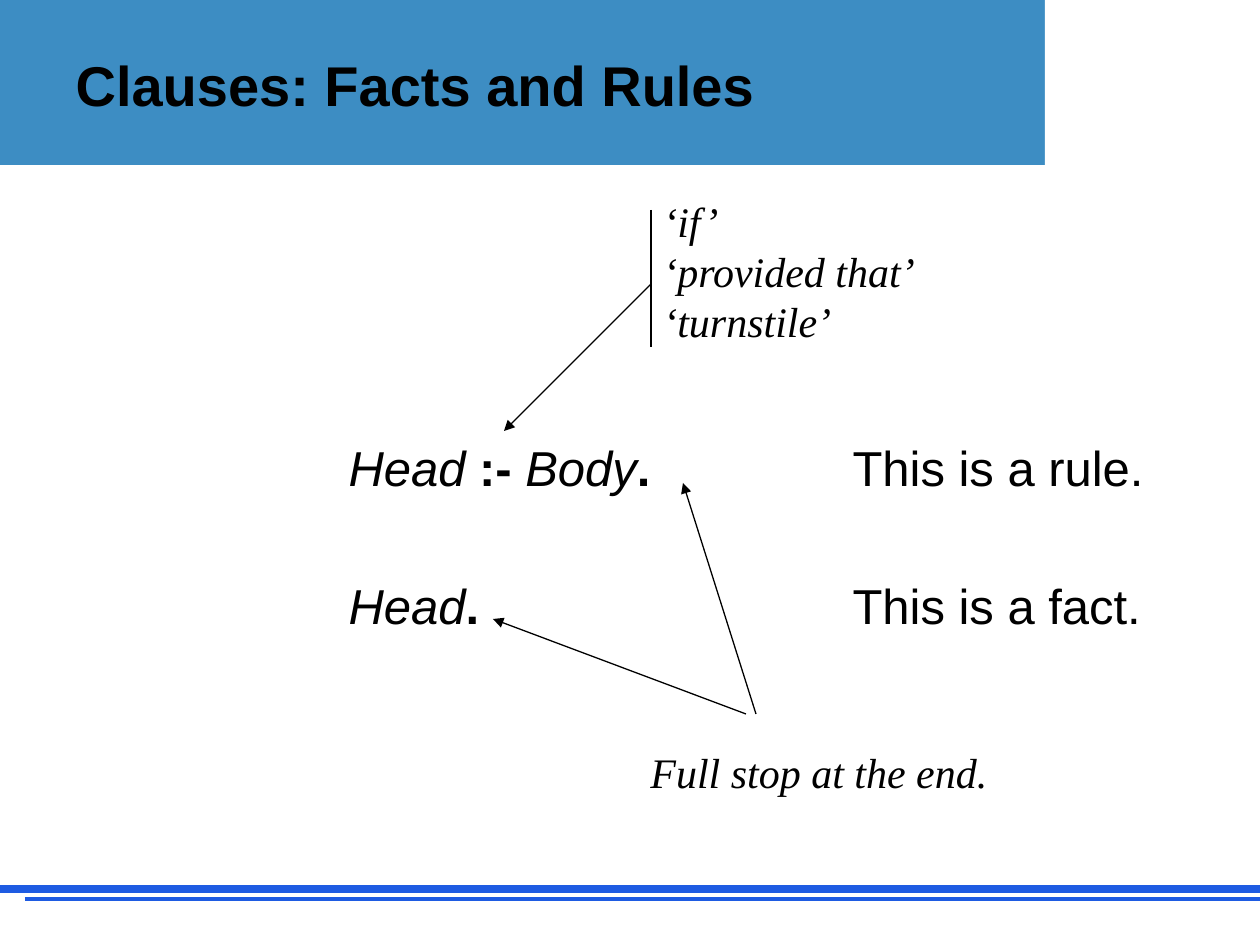
from lxml.etree import SubElement
from pptx import Presentation
from pptx.dml.color import RGBColor
from pptx.enum.shapes import MSO_CONNECTOR as Connector, MSO_SHAPE as Shape
from pptx.enum.text import MSO_ANCHOR as Anchor, MSO_AUTO_SIZE as AutoSize, PP_ALIGN as Align
from pptx.oxml.ns import qn
from pptx.util import Emu, Pt

BLACK = RGBColor(0x00, 0x00, 0x00)
WHITE = RGBColor(0xFF, 0xFF, 0xFF)
BAND_BLUE = RGBColor(0x3D, 0x8D, 0xC3)
RULE_BLUE = RGBColor(0x1E, 0x5B, 0xE2)
SCALE = 914400 / 126

TITLE = [[("Clauses: Facts and Rules", "b")]]
CLAUSES = [
    [("Head ", "i"), (":- ", "b"), ("Body", "i"), (".", "b")],
    [("Head", "i"), (".", "b")],
]
MEANINGS = [[("This is a rule.", "")], [("This is a fact.", "")]]
NOTES = [
    ((651, 189, 278, 164), ["‘if’", "‘provided that’", "‘turnstile’"]),
    ((638, 740, 362, 63), ["Full stop at the end."]),
]
BLOCKS = [((0, 0, 1260, 165), BAND_BLUE), ((1045, 0, 215, 175), WHITE)]
FOOTER_RULES = [((0, 889, 1260, 889), 4.5), ((25, 899, 1260, 899), 2.25)]
ARROWS = [(651, 284, 504, 431), (756, 714, 683, 483), (746, 714, 493, 619)]
NOTE_BAR = (651, 210, 651, 347)
TITLE_AREA = (63, 16, 864, 136)
COLUMNS = [((336, 431, 504, 242), CLAUSES), ((840, 431, 378, 242), MEANINGS)]
FIRST_GAP, CLAUSE_GAP = 5, 45.6


def px(value):
    return Emu(round(value * SCALE))


def place(box, area):
    box.left, box.top, box.width, box.height = map(px, area)


def write(box, lines, size, font="Arial", anchor=Anchor.TOP, wrap=True):
    frame = box.text_frame
    frame.auto_size = AutoSize.NONE
    frame.word_wrap = wrap
    frame.vertical_anchor = anchor
    for index, line in enumerate(lines):
        para = frame.paragraphs[0] if index == 0 else frame.add_paragraph()
        para.alignment = Align.LEFT
        for text, style in line:
            span = para.add_run()
            span.text = text
            span.font.name, span.font.size = font, Pt(size)
            span.font.bold, span.font.italic = "b" in style, "i" in style
            span.font.color.rgb = BLACK
    return frame.paragraphs


def draw_line(ends, color=BLACK, width=0.75, arrow=False):
    line = page.shapes.add_connector(Connector.STRAIGHT, *map(px, ends))
    line.line.color.rgb = color
    line.line.width = Pt(width)
    if arrow:
        SubElement(line.line._get_or_add_ln(), qn("a:tailEnd"), type="triangle")
    SubElement(line._element.spPr, qn("a:effectLst"))


deck = Presentation()
deck.slide_width, deck.slide_height = px(1260), px(945)
page = deck.slides.add_slide(deck.slide_layouts[3])
title, *bodies = page.placeholders

for area, color in BLOCKS:
    block = page.shapes.add_shape(Shape.RECTANGLE, *map(px, area))
    block.shadow.inherit = False
    block.fill.solid()
    block.fill.fore_color.rgb = color
    block.line.fill.background()
for ends, width in FOOTER_RULES:
    draw_line(ends, RULE_BLUE, width)

place(title, TITLE_AREA)
page.shapes._spTree.append(title._element)
write(title, TITLE, 32, anchor=Anchor.MIDDLE)
for body, (area, lines) in zip(bodies, COLUMNS):
    place(body, area)
    page.shapes._spTree.append(body._element)
    for index, para in enumerate(write(body, lines, 28)):
        para.space_before = Pt(CLAUSE_GAP if index else FIRST_GAP)
        properties = para._p.get_or_add_pPr()
        properties.set("marL", "0")
        properties.set("indent", "0")
        SubElement(properties, qn("a:buNone"))

for area, lines in NOTES:
    note = page.shapes.add_textbox(*map(px, area))
    write(note, [[(text, "i")] for text in lines], 24, font="Times New Roman", wrap=False)
for ends in ARROWS:
    draw_line(ends, arrow=True)
draw_line(NOTE_BAR)

deck.save("out.pptx")
